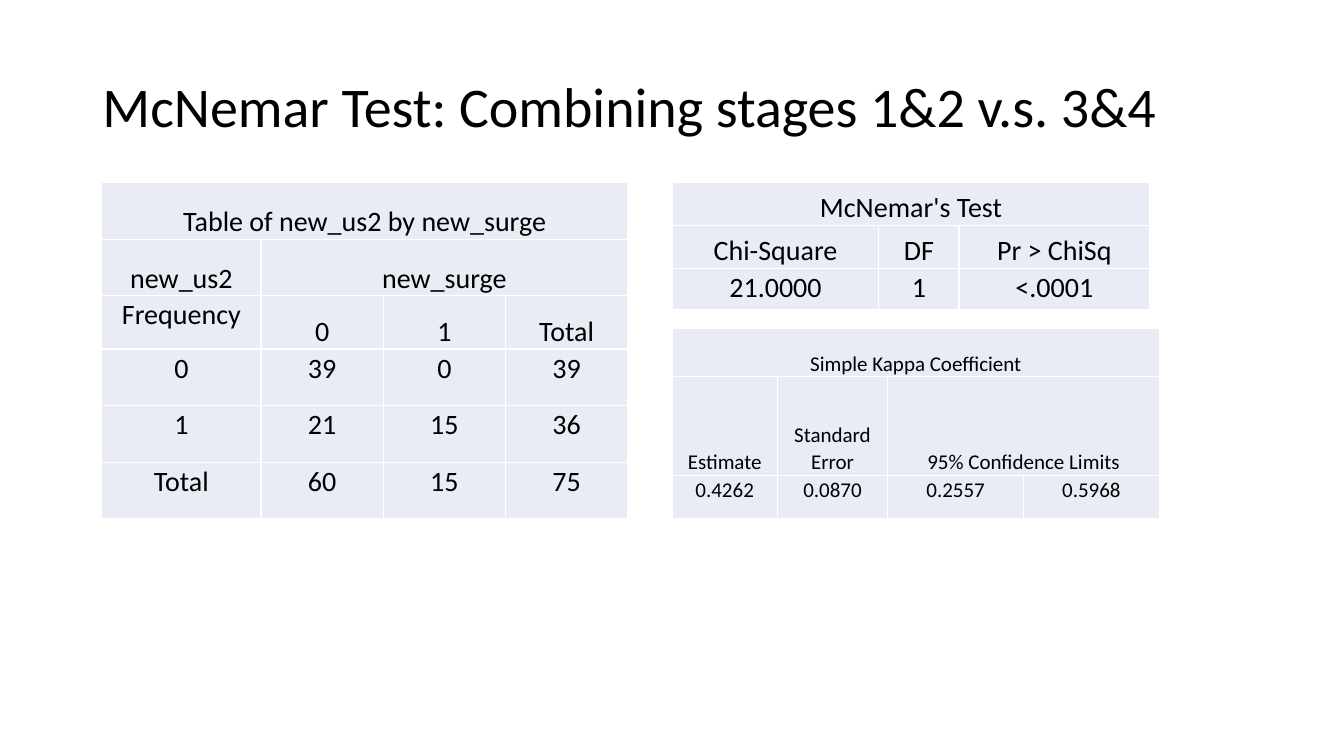
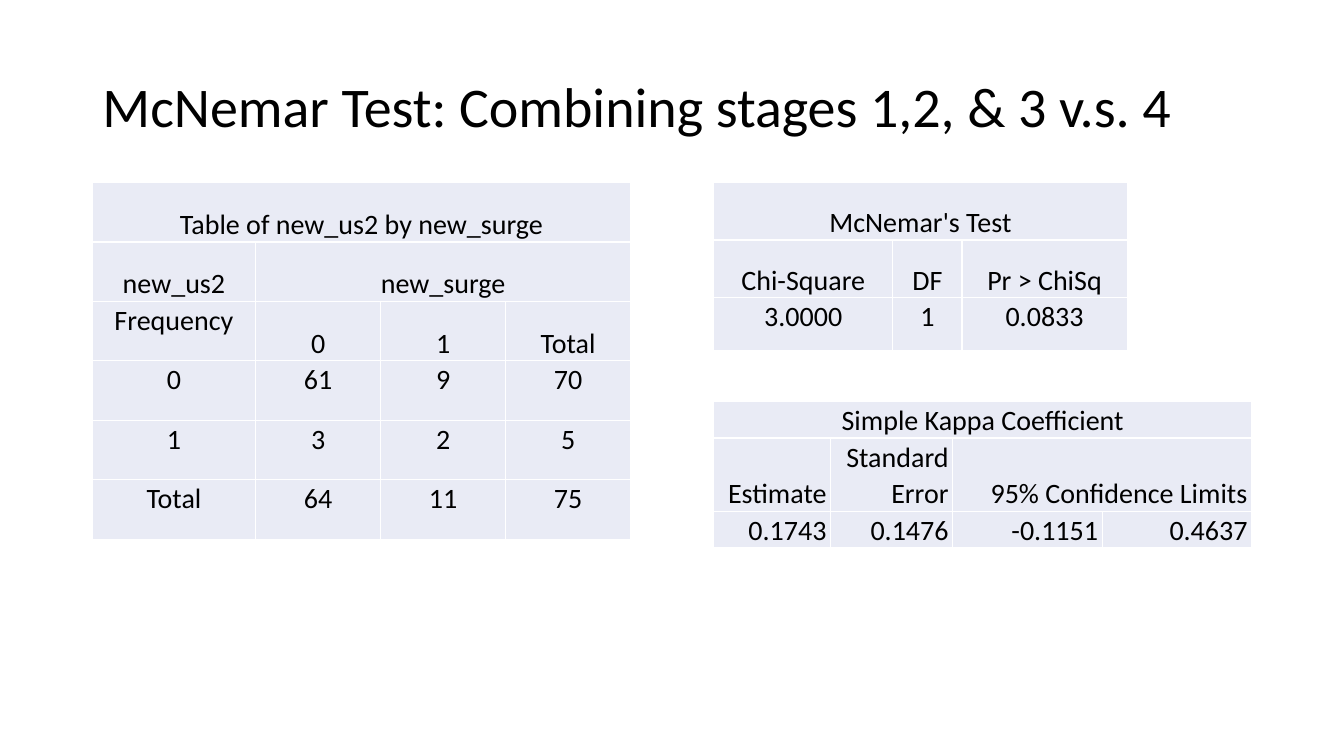
"""Builds two slides of McNemar test results, each with a title and three tables."""
import pptx
import pptx.enum.text
import pptx.util

Pt = pptx.util.Pt
ANCHOR = pptx.enum.text.MSO_ANCHOR
ALIGN = pptx.enum.text.PP_ALIGN
FONT = "Calibri"
COLORS = {"text": "000000", "cell": "E9EBF5"}
TOP = 130.3


def add_text(para, text, size):
    for index, line in enumerate(text.split("\n")):
        if index:
            para.add_line_break()
        span = para.add_run()
        span.text = line
        span.font.name = FONT
        span.font.size = Pt(size)
        span.font.color.rgb = pptx.dml.color.RGBColor.from_string(COLORS["text"])


def add_grid(page, left, top, widths, heights, rows, size=20, align=ALIGN.CENTER):
    frame = page.shapes.add_table(len(heights), len(widths), Pt(left), Pt(top),
                                  Pt(sum(widths)), Pt(sum(heights)))
    table = frame.table
    table.first_row = False
    table.horz_banding = False
    for column, width in zip(table.columns, widths):
        column.width = Pt(width)
    for row, height in zip(table.rows, heights):
        row.height = Pt(height)
    header_count = 3 if len(rows) == 6 else 2
    for r, texts in enumerate(rows):
        for c, text in enumerate(texts):
            cell = table.cell(r, c)
            cell.fill.solid()
            cell.fill.fore_color.rgb = pptx.dml.color.RGBColor.from_string(COLORS["cell"])
            cell.margin_left = cell.margin_right = Pt(3)
            cell.margin_top = cell.margin_bottom = 0
            is_header = r < header_count and text != "Frequency"
            cell.vertical_anchor = ANCHOR.BOTTOM if is_header else ANCHOR.TOP
            para = cell.text_frame.paragraphs[0]
            para.alignment = ALIGN.CENTER if r == 0 else align
            para.line_spacing = 1.07
            para.space_before = para.space_after = Pt(3)
            if text is not None:
                add_text(para, text, size)
        for c, text in enumerate(texts):
            if text is not None:
                last = c
                while last + 1 < len(texts) and texts[last + 1] is None:
                    last += 1
                if last > c:
                    table.cell(r, c).merge(table.cell(r, last))


CROSS_HEAD = [
    ["Table of new_us2 by new_surge", None, None, None],
    ["new_us2", "new_surge", None, None],
    ["Frequency", "0", "1", "Total"],
]
TEST_HEAD = [
    ["McNemar's Test", None, None],
    ["Chi-Square", "DF", "Pr > ChiSq"],
]
KAPPA_HEAD = [
    ["Simple Kappa Coefficient", None, None, None],
    ["Estimate", "Standard\nError", "95% Confidence Limits", None],
]

SLIDES = [
    {
        "title": "McNemar Test: Combining stages 1&2 v.s. 3&4",
        "cross": {
            "left": 72.7, "top": TOP,
            "widths": [113.8] + [87.3] * 3,
            "heights": [40.5, 40.5, 38, 40.5, 40.5, 40.5],
            "rows": CROSS_HEAD + [["0", "39", "0", "39"],
                                  ["1", "21", "15", "36"],
                                  ["Total", "60", "15", "75"]],
        },
        "test": {
            "left": 480.2, "top": TOP,
            "widths": [147.6, 57.2, 136.4],
            "heights": [30.7, 30.7, 29.3],
            "rows": TEST_HEAD + [["21.0000", "1", "<.0001"]],
        },
        "kappa": {
            "left": 480.2, "top": 234.7, "size": 15,
            "widths": [75, 79, 97, 97],
            "heights": [34.4, 70.6, 31],
            "rows": KAPPA_HEAD + [["0.4262", "0.0870", "0.2557", "0.5968"]],
        },
    },
    {
        "title": "McNemar Test: Combining stages 1,2, & 3 v.s. 4",
        "cross": {
            "left": 66, "top": TOP,
            "widths": [116.6] + [89.3] * 3,
            "heights": [42.5] * 6,
            "rows": CROSS_HEAD + [["0", "61", "9", "70"],
                                  ["1", "3", "2", "5"],
                                  ["Total", "64", "11", "75"]],
        },
        "test": {
            "left": 509.8, "top": TOP,
            "widths": [128, 49.4, 118],
            "heights": [41.2, 41.2, 37.8],
            "rows": TEST_HEAD + [["3.0000", "1", "0.0833"]],
        },
        "kappa": {
            "left": 509.8, "top": 286.6, "align": ALIGN.RIGHT,
            "widths": [83.6, 87.2, 106.8, 106.8],
            "heights": [26, 52, 26],
            "rows": KAPPA_HEAD + [["0.1743", "0.1476", "-0.1151", "0.4637"]],
        },
    },
]

deck = pptx.Presentation()
deck.slide_width = Pt(960)
deck.slide_height = Pt(540)

for content in SLIDES:
    page = deck.slides.add_slide(deck.slide_layouts[5])
    title = page.shapes.title
    title.left, title.top, title.width, title.height = Pt(66), Pt(26), Pt(828), Pt(104.4)
    title.text_frame.auto_size = pptx.enum.text.MSO_AUTO_SIZE.NONE
    title.text_frame.word_wrap = True
    title.text_frame.vertical_anchor = ANCHOR.MIDDLE
    para = title.text_frame.paragraphs[0]
    para.alignment = ALIGN.LEFT
    para.line_spacing = 0.9
    add_text(para, content["title"], 40)
    for name in ("cross", "test", "kappa"):
        add_grid(page, **content[name])

deck.save("out.pptx")
